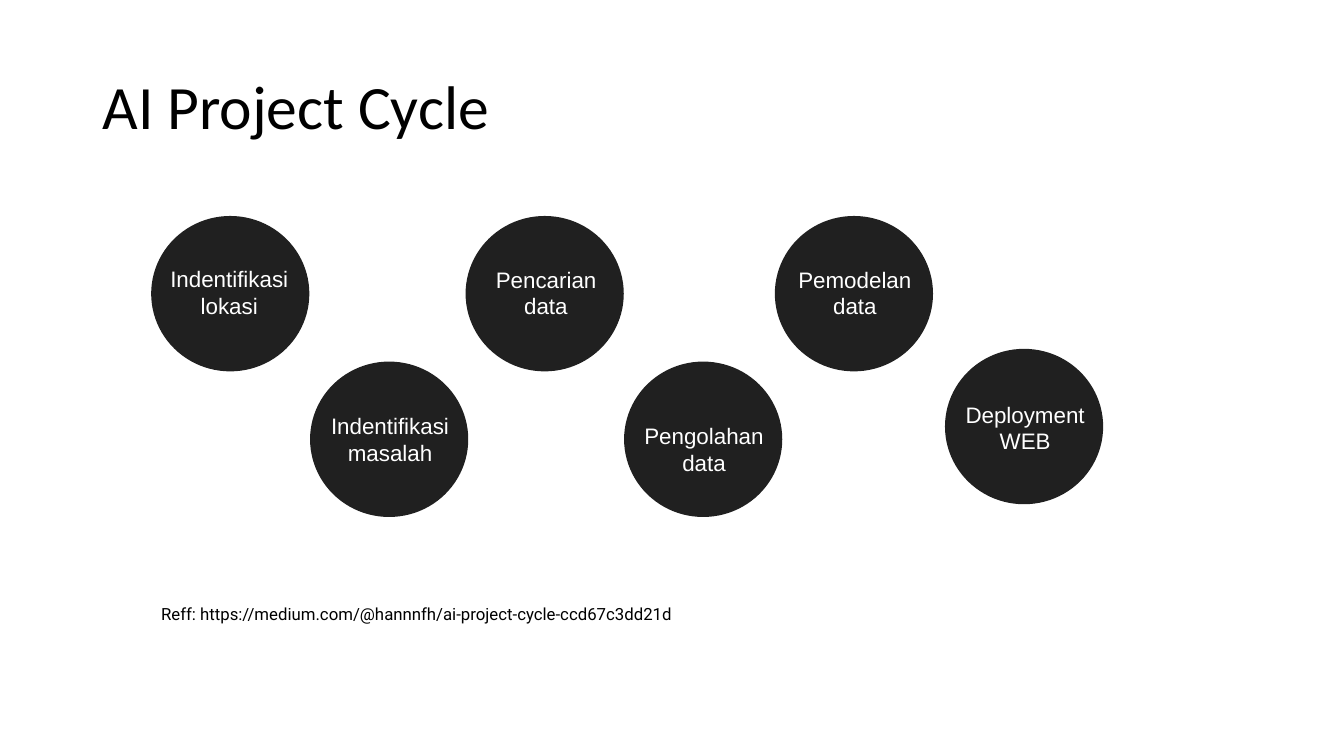
from dataclasses import dataclass

from pptx import Presentation
from pptx import util as u
from pptx.dml.color import RGBColor
from pptx.enum import shapes, text


@dataclass(frozen=True)
class Theme:
    ink: RGBColor = RGBColor(0x00, 0x00, 0x00)
    disc: RGBColor = RGBColor(0x20, 0x20, 0x20)
    disc_text: RGBColor = RGBColor(0xFF, 0xFF, 0xFF)
    title_size: int = 44
    label_size: int = 16
    note_size: int = 12


def apply(target, values):
    for name, value in values.items():
        setattr(target, name, value)


def place(shape, left, top, width, height):
    apply(shape, {"left": u.Pt(left), "top": u.Pt(top),
                  "width": u.Pt(width), "height": u.Pt(height)})


class CycleSlide:
    def __init__(self, page, theme):
        self.page = page
        self.theme = theme
        self.cycle = page.shapes.add_group_shape()

    def style(self, para, font, size, color):
        apply(para.font, {"name": font, "size": u.Pt(size)})
        para.font.color.rgb = color

    def title(self, wording, area):
        box = self.page.shapes.title
        place(box, *area)
        frame = box.text_frame
        frame.text = wording
        apply(frame, {"word_wrap": True, "auto_size": text.MSO_AUTO_SIZE.NONE,
                      "vertical_anchor": text.MSO_ANCHOR.MIDDLE})
        para = frame.paragraphs[0]
        apply(para, {"alignment": text.PP_ALIGN.LEFT, "line_spacing": 0.9})
        self.style(para, "Calibri", self.theme.title_size, self.theme.ink)

    def disc(self, left, top, width, height):
        disc = self.cycle.shapes.add_shape(
            shapes.MSO_SHAPE.OVAL, u.Pt(left), u.Pt(top), u.Pt(width), u.Pt(height))
        disc.shadow.inherit = False
        disc.fill.solid()
        disc.fill.fore_color.rgb = self.theme.disc
        disc.line.fill.background()

    def text_box(self, owner, wording, area, insets):
        box = owner.shapes.add_textbox(*(u.Pt(length) for length in area))
        frame = box.text_frame
        frame.text = wording
        sides = ("margin_left", "margin_top", "margin_right", "margin_bottom")
        apply(frame, dict(zip(sides, map(u.Pt, insets))))
        apply(frame, {"word_wrap": True,
                      "auto_size": text.MSO_AUTO_SIZE.SHAPE_TO_FIT_TEXT})
        return frame.paragraphs

    def label(self, wording, left, top, width, hanging):
        paras = self.text_box(self.cycle, wording, (left, top, width, 40.3), (0, 1.2, 0, 0))
        for para in paras:
            props = para._p.get_or_add_pPr()
            props.set("marL", str(u.Pt(21.6 if hanging else 1.4)))
            props.set("indent", str(u.Pt(-20.2 if hanging else 0)))
            para.alignment = text.PP_ALIGN.LEFT if hanging else text.PP_ALIGN.CENTER
            self.style(para, "Arial", self.theme.label_size, self.theme.disc_text)

    def note(self, wording, area):
        for para in self.text_box(self.page, wording, area, (7.2, 3.6, 7.2, 3.6)):
            self.style(para, "Roboto", self.theme.note_size, self.theme.ink)


DISC_SIZE = (113, 111)
UPPER, LOWER, LAST = 154.3, 258.3, 249.2
STEPS = [
    ("Indentifikasi lokasi", (108, UPPER), (115.2, 188, 95.8), False),
    ("Indentifikasi masalah", (221.5, LOWER), (229.7, 293.4, 96.5), False),
    ("Pencarian data", (332.6, UPPER), (352.8, 188.6, 82.1), True),
    ("Pengolahan data", (445.8, LOWER), (456.5, 300.3, 91.4), False),
    ("Pemodelan data", (553.5, UPPER), (563.8, 188.6, 92.2), False),
    ("Deployment\nWEB", (675, LAST), (686.2, 285, 90.7), False),
]


def main():
    deck = Presentation()
    apply(deck, {"slide_width": u.Pt(960), "slide_height": u.Pt(540)})
    page = deck.slides.add_slide(deck.slide_layouts[5])
    slide = CycleSlide(page, Theme())
    slide.title("AI Project Cycle", (66, 26, 828, 104.4))
    for wording, corner, label_area, hanging in STEPS:
        slide.disc(*corner, *DISC_SIZE)
        slide.label(wording, *label_area, hanging)
    slide.note("Reff: https://medium.com/@hannnfh/ai-project-cycle-ccd67c3dd21d",
               (108, 427.7, 635.8, 21.6))
    deck.save("out.pptx")


if __name__ == "__main__":
    main()
